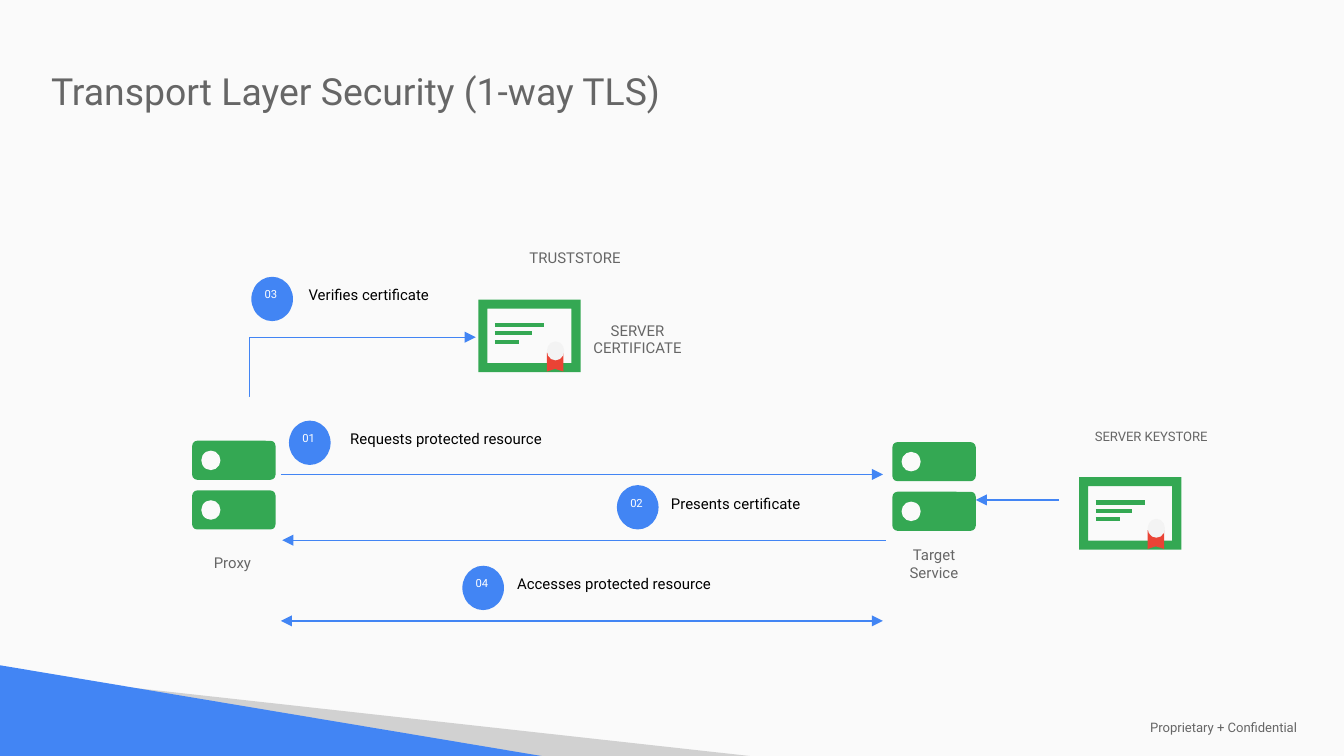
from dataclasses import dataclass

from lxml.etree import SubElement
from pptx import Presentation
from pptx.dml.color import RGBColor
from pptx.enum.shapes import MSO_CONNECTOR as LINK, MSO_SHAPE as SHAPE
from pptx.enum.text import MSO_ANCHOR as ANCHOR, PP_ALIGN as ALIGN
from pptx.oxml.ns import qn
from pptx.util import Inches, Pt

COLUMNS, ROWS = 100, 56.25
CELL = Inches(10) / COLUMNS


@dataclass(frozen=True)
class Theme:
    font: str = "Roboto"
    paper: str = "FAFAFA"
    blue: str = "4285F4"
    green: str = "34A853"
    red: str = "EA4335"
    seal: str = "F3F3F3"
    shade: str = "D1D1D1"
    grey: str = "666666"
    black: str = "000000"
    white: str = "FFFFFF"
    title: int = 20
    label: int = 8
    small: int = 7
    number: int = 6
    arrow: float = 0.75
    stroke: float = 2.25


THEME = Theme()


@dataclass(frozen=True)
class Box:
    """A rectangle in grid columns and rows."""
    left: float
    top: float
    width: float
    height: float

    def point(self, across, down):
        return self.left + across * self.width, self.top + down * self.height

    def share(self, across, down, width, height):
        return Box(*self.point(across, down), width * self.width, height * self.height)

    def lengths(self):
        return [cells(n) for n in (self.left, self.top, self.width, self.height)]


def cells(count):
    return round(count * CELL)


def paint(shape, color):
    shape.shadow.inherit = False
    shape.fill.solid()
    shape.fill.fore_color.rgb = RGBColor.from_string(color)
    shape.line.fill.background()


def add_preset(page, kind, box, color, adjustment=None):
    shape = page.shapes.add_shape(kind, *box.lengths())
    if adjustment is not None:
        shape.adjustments[0] = adjustment
    paint(shape, color)


def add_outline(page, points, color):
    corners = [(cells(x), cells(y)) for x, y in points]
    builder = page.shapes.build_freeform(*corners[0], scale=1.0)
    builder.add_line_segments(corners[1:], close=True)
    paint(builder.convert_to_shape(), color)


def add_text(page, box, text, size=THEME.label, color=THEME.grey,
             align=ALIGN.CENTER, anchor=ANCHOR.TOP, inset=(0.8, 0.8)):
    frame = page.shapes.add_textbox(*box.lengths()).text_frame
    frame.word_wrap = True
    frame.vertical_anchor = anchor
    frame.margin_left = frame.margin_right = cells(inset[0])
    frame.margin_top = frame.margin_bottom = cells(inset[1])
    para = frame.paragraphs[0]
    para.alignment = align
    span = para.add_run()
    span.text = text
    span.font.name = THEME.font
    span.font.size = Pt(size)
    span.font.color.rgb = RGBColor.from_string(color)


def add_line(page, start, end, color=THEME.blue, weight=THEME.arrow,
             ends=(), kind=LINK.STRAIGHT):
    """Draw a line; ends names its arrowheads, headEnd before tailEnd."""
    link = page.shapes.add_connector(kind, *(cells(n) for n in (*start, *end)))
    link.line.color.rgb = RGBColor.from_string(color)
    link.line.width = Pt(weight)
    for name in ends:
        SubElement(link.line._get_or_add_ln(), qn(f"a:{name}"), type="triangle")
    SubElement(link._element.spPr, qn("a:effectLst"))
    return link


def add_backdrop(page, box):
    add_preset(page, SHAPE.RECTANGLE, box, THEME.paper)
    add_outline(page, [box.point(0.085, 0.907), box.point(0.558, 1),
                       box.point(0.401, 1)], THEME.shade)
    add_outline(page, [box.point(0, 0.88), box.point(0, 1),
                       box.point(0.403, 1)], THEME.blue)
    add_text(page, Box(84.6, 53.4, 14.9, 1.4), "Proprietary + Confidential",
             THEME.small, align=ALIGN.LEFT, anchor=ANCHOR.MIDDLE, inset=(1, 0))


def add_server(page, box):
    for down in (0, 0.56):
        unit = box.share(0, down, 1, 0.44)
        add_preset(page, SHAPE.ROUNDED_RECTANGLE, unit, THEME.green, 0.13)
        add_preset(page, SHAPE.OVAL, unit.share(0.11, 0.25, 0.23, 0.5), THEME.paper)


def add_certificate(page, box):
    add_preset(page, SHAPE.FRAME, box, THEME.green, 0.125)
    for row, length in enumerate((0.48, 0.36, 0.24)):
        down = 0.35 + row * 0.115
        add_line(page, box.point(0.16, down), box.point(0.16 + length, down),
                 THEME.green, THEME.stroke)
    ribbon = box.share(0.67, 0.73, 0.16, 0.26)
    add_outline(page, [ribbon.point(*at) for at in
                       ((0, 0), (1, 0), (1, 1), (0.5, 0.86), (0, 1))], THEME.red)
    add_preset(page, SHAPE.OVAL, box.share(0.67, 0.575, 0.17, 0.26), THEME.seal)


def add_step(page, badge, number, text, gap, width):
    """Place a numbered badge and its text, gap columns after the badge."""
    add_preset(page, SHAPE.OVAL, badge, THEME.blue)
    add_text(page, Box(badge.left + 0.2, badge.top + 0.3, 2.7, 2.9), number,
             THEME.number, THEME.white, ALIGN.LEFT)
    add_text(page, Box(badge.left + badge.width + gap, badge.top, width, 3.2),
             text, color=THEME.black)


def add_arrows(page):
    left, right = 20.9, 65.7
    add_line(page, (78.8, 37.2), (72.6, 37.2), ends=["tailEnd"])
    add_line(page, (left, 35.3), (right, 35.3), ends=["tailEnd"])
    add_line(page, (right + 0.2, 40.2), (left + 0.1, 40.2), ends=["tailEnd"])
    add_line(page, (left, 46.2), (right, 46.2), ends=["headEnd", "tailEnd"])
    bend = add_line(page, (18.5, 29.5), (35.4, 25.1), ends=["tailEnd"], kind=LINK.ELBOW)
    guides = bend._element.spPr.find(qn("a:prstGeom")).get_or_add_avLst()
    SubElement(guides, qn("a:gd"), name="adj1", fmla="val 400")


def add_diagram(page):
    for left, top in ((14.3, 32.8), (66.4, 32.9)):
        add_server(page, Box(left, top, 6.2, 6.6))
    for left, top in ((80.3, 35.5), (35.6, 22.3)):
        add_certificate(page, Box(left, top, 7.6, 5.4))
    for box, text, size in (
        (Box(14, 40.5, 6.6, 3.2), "Proxy", THEME.label),
        (Box(66.2, 39.8, 6.6, 3.2), "Target Service", THEME.label),
        (Box(80.4, 31.3, 10.5, 3.9), "SERVER KEYSTORE", THEME.small),
        (Box(43.1, 23.1, 8.7, 3.9), "SERVER CERTIFICATE", THEME.label),
        (Box(37.5, 17.8, 10.6, 3.2), "TRUSTSTORE", THEME.label),
    ):
        add_text(page, box, text, size)
    add_arrows(page)
    for left, top, number, text, gap, width in (
        (21.5, 31.3, "01", "Requests protected resource", -0.1, 17.4),
        (45.9, 36.1, "02", "Presents certificate", 0, 11.5),
        (18.7, 20.6, "03", "Verifies certificate", -2, 15.3),
        (34.4, 42.1, "04", "Accesses protected resource", -0.1, 16.6),
    ):
        add_step(page, Box(left, top, 3.1, 3.3), number, text, gap, width)


def main():
    deck = Presentation()
    deck.slide_width, deck.slide_height = cells(COLUMNS), cells(ROWS)
    page = deck.slides.add_slide(deck.slide_layouts[6])
    add_backdrop(page, Box(0, 0, COLUMNS, ROWS))
    add_text(page, Box(3, 4.3, 59, 7.1), "Transport Layer Security (1-way TLS)",
             THEME.title, align=ALIGN.LEFT)
    add_diagram(page)
    deck.save("out.pptx")


if __name__ == "__main__":
    main()
